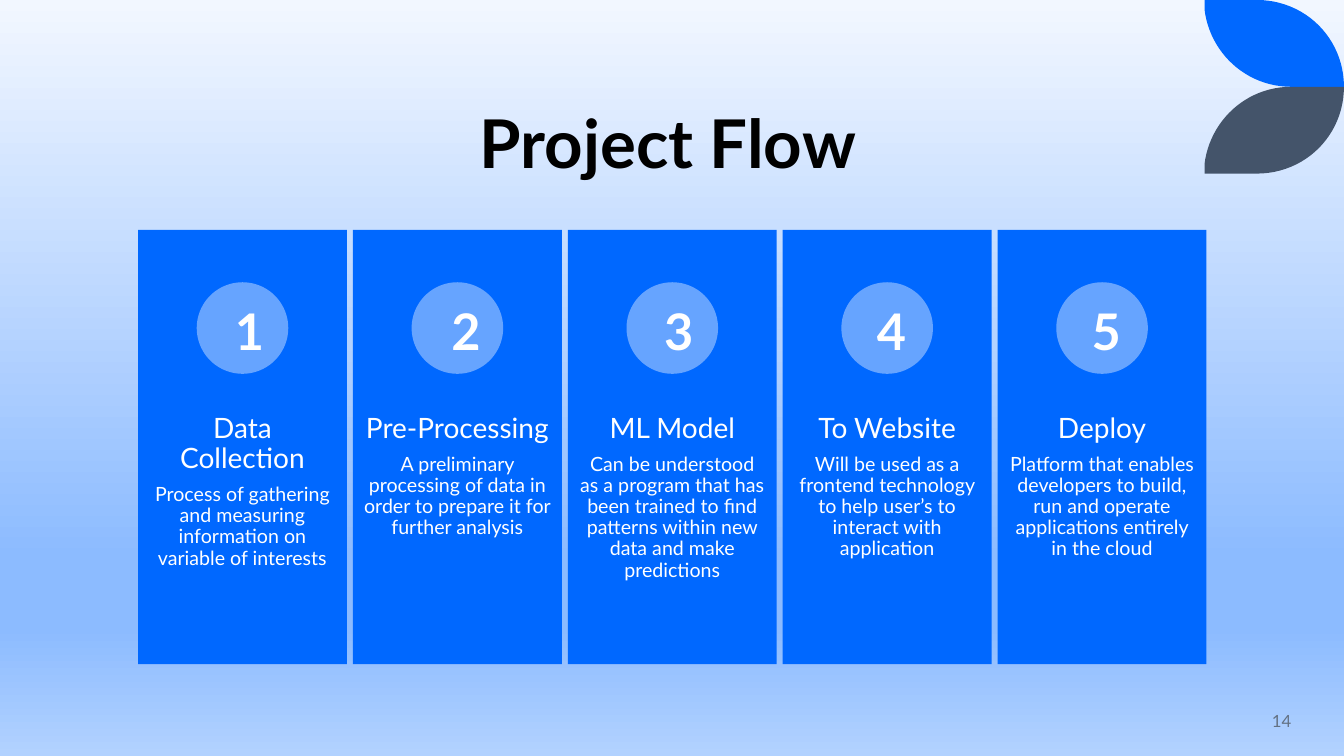
from dataclasses import dataclass

from lxml import etree
from pptx import Presentation
from pptx import util as u
from pptx.dml.color import RGBColor
from pptx.enum import shapes, text
from pptx.oxml.ns import qn

FONT = "Lato"
BLUE, LIGHT_BLUE, SLATE = "0068FF", "66A4FF", "44546A"
WHITE, BLACK, GREY = "FFFFFF", "000000", "637183"
BACKGROUND_STOPS = [(0, "F2F7FF"), (74, "8CBBFF"), (83, "8CBBFF"), (100, "B2D2FF")]

CARD_LEFT, CARD_TOP, CARD_PITCH = 98.6, 164.2, 153.5
CARD_WIDTH, CARD_HEIGHT = 149.2, 310.2
CIRCLE_SIZE, CIRCLE_TOP = 65.4, 201.6
LEAF_HEIGHT = 62


@dataclass
class Step:
    heading: str
    detail: str
    number_left: float


@dataclass
class Line:
    words: str
    size: float
    color: str
    bold: bool = False
    spacing: float = 1.0
    space_after: float = 0


STEPS = [
    Step("Data Collection",
         "Process of gathering and measuring information on variable of interests", 160.6),
    Step("Pre-Processing",
         "A preliminary processing of data in order to prepare it for further analysis", 315.4),
    Step("ML Model",
         "Can be understood as a program that has been trained to find patterns "
         "within new data and make predictions", 467.3),
    Step("To Website",
         "Will be used as a frontend technology to help user’s to interact with application",
         619.2),
    Step("Deploy",
         "Platform that enables developers to build, run and operate applications "
         "entirely in the cloud", 772.6),
]


def rgb(color: str) -> RGBColor:
    return RGBColor.from_string(color)


def paint(shape, color: str) -> None:
    shape.shadow.inherit = False
    shape.fill.solid()
    shape.fill.fore_color.rgb = rgb(color)
    shape.line.fill.background()


def add_shape(slide, kind, left: float, top: float, width: float, height: float,
              color: str) -> None:
    shape = slide.shapes.add_shape(kind, u.Pt(left), u.Pt(top), u.Pt(width), u.Pt(height))
    paint(shape, color)


def add_text(slide, left: float, top: float, width: float, height: float,
             lines: list[Line], alignment=text.PP_ALIGN.CENTER, inset: float = 7.2,
             **frame_format) -> None:
    box = slide.shapes.add_textbox(u.Pt(left), u.Pt(top), u.Pt(width), u.Pt(height))
    frame = box.text_frame
    settings = {"word_wrap": True, "margin_left": u.Pt(inset), "margin_right": u.Pt(inset),
                "margin_top": u.Pt(inset / 2), "margin_bottom": u.Pt(inset / 2),
                **frame_format}
    for name, value in settings.items():
        setattr(frame, name, value)
    for index, line in enumerate(lines):
        paragraph = frame.add_paragraph() if index else frame.paragraphs[0]
        paragraph_format = {"alignment": alignment, "line_spacing": line.spacing,
                            "space_after": u.Pt(line.space_after)}
        for name, value in paragraph_format.items():
            setattr(paragraph, name, value)
        run = paragraph.add_run()
        run.text = line.words
        for name, value in {"name": FONT, "size": u.Pt(line.size), "bold": line.bold}.items():
            setattr(run.font, name, value)
        run.font.color.rgb = rgb(line.color)


def curve(start, first, second, end, steps: int = 24) -> list[tuple[float, float]]:
    """Points along a cubic Bézier curve, after its start."""
    points = []
    for step in range(1, steps + 1):
        t = step / steps
        weights = ((1 - t) ** 3, 3 * t * (1 - t) ** 2, 3 * t * t * (1 - t), t ** 3)
        points.append(tuple(sum(weight * point[axis] for weight, point
                                in zip(weights, (start, first, second, end)))
                            for axis in (0, 1)))
    return points


def add_leaf(slide, color: str, mirrored: bool) -> None:
    outline = [(860.4, 0), (897.8, 0),
               *curve((897.8, 0), (932.4, 0), (960, 27.4), (960, LEAF_HEIGHT)),
               (922.3, LEAF_HEIGHT),
               *curve((922.3, LEAF_HEIGHT), (889.9, LEAF_HEIGHT), (864, 37.4), (860.4, 6.5))]
    points = [(u.Pt(x), u.Pt(2 * LEAF_HEIGHT - y if mirrored else y)) for x, y in outline]
    builder = slide.shapes.build_freeform(*points[0])
    builder.add_line_segments(points[1:], close=True)
    paint(builder.convert_to_shape(), color)


def set_background(slide) -> None:
    fill = slide.background.fill
    fill.gradient()
    fill.gradient_angle = 270
    stop_list = next(slide.element.iter(qn("a:gsLst")))
    for stop in list(stop_list):
        stop_list.remove(stop)
    for position, color in BACKGROUND_STOPS:
        stop = etree.SubElement(stop_list, qn("a:gs"), pos=str(position * 1000))
        etree.SubElement(stop, qn("a:srgbClr"), val=color)


def add_card(slide, index: int, step: Step) -> None:
    left = CARD_LEFT + index * CARD_PITCH
    add_shape(slide, shapes.MSO_SHAPE.RECTANGLE, left, CARD_TOP, CARD_WIDTH, CARD_HEIGHT, BLUE)
    add_text(slide, left, 288, CARD_WIDTH, 124,
             [Line(step.heading, 20, WHITE, spacing=0.9, space_after=7),
              Line(step.detail, 14, WHITE, spacing=0.9)],
             inset=7.9, margin_top=u.Pt(7.9), margin_bottom=u.Pt(7.9))
    add_shape(slide, shapes.MSO_SHAPE.OVAL, left + (CARD_WIDTH - CIRCLE_SIZE) / 2, CIRCLE_TOP,
              CIRCLE_SIZE, CIRCLE_SIZE, LIGHT_BLUE)
    add_text(slide, step.number_left, 211, 27.4, 51,
             [Line(str(index + 1), 36, WHITE, bold=True)],
             auto_size=text.MSO_AUTO_SIZE.SHAPE_TO_FIT_TEXT)


def main() -> None:
    presentation = Presentation()
    presentation.slide_width, presentation.slide_height = u.Pt(960), u.Pt(540)
    slide = presentation.slides.add_slide(presentation.slide_layouts[6])
    set_background(slide)

    # Corner leaves
    add_leaf(slide, BLUE, mirrored=False)
    add_leaf(slide, SLATE, mirrored=True)

    # Title
    add_text(slide, 92.2, 30.2, 769.7, 104.4,
             [Line("Project Flow", 48, BLACK, bold=True, spacing=0.9)],
             vertical_anchor=text.MSO_ANCHOR.BOTTOM)

    # Numbered step cards
    for index, step in enumerate(STEPS):
        add_card(slide, index, step)

    # Slide number
    add_text(slide, 799.2, 500.4, 130.3, 28.8, [Line("14", 12, GREY)],
             alignment=text.PP_ALIGN.RIGHT, vertical_anchor=text.MSO_ANCHOR.MIDDLE)

    presentation.save("out.pptx")


if __name__ == "__main__":
    main()
